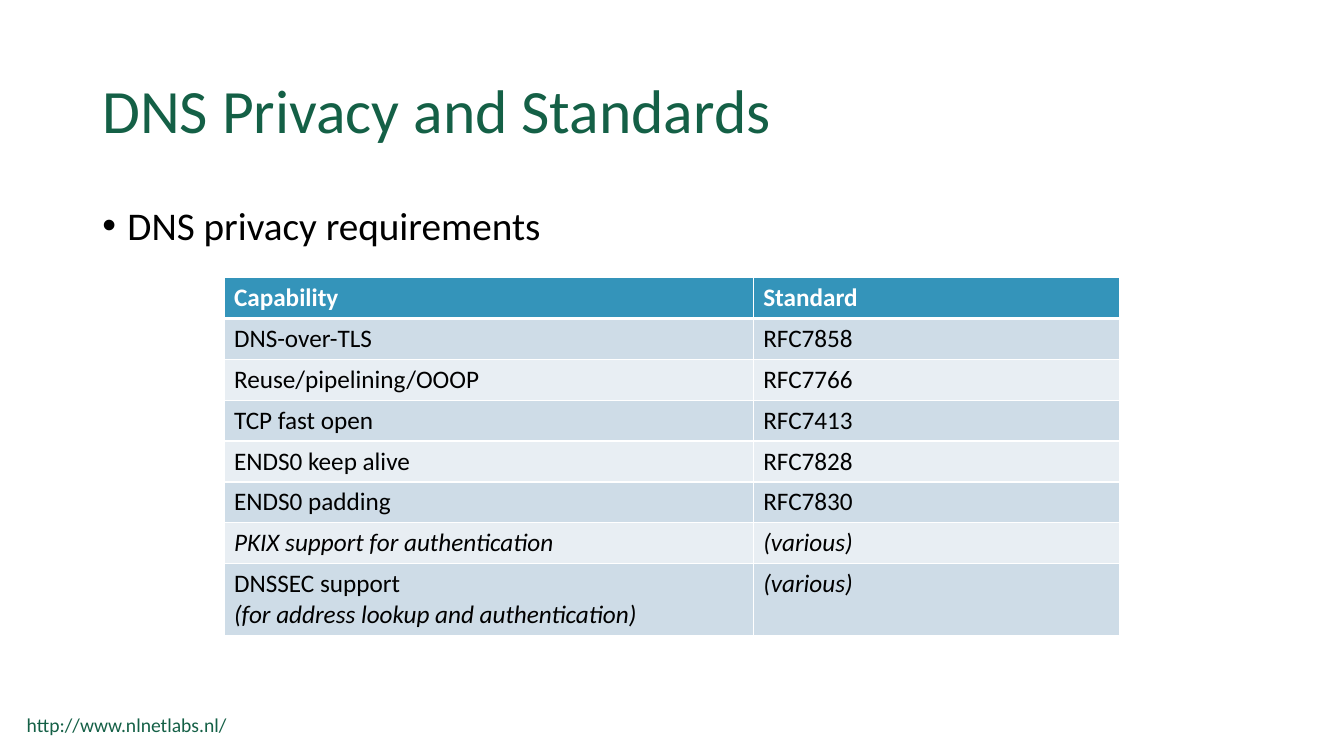
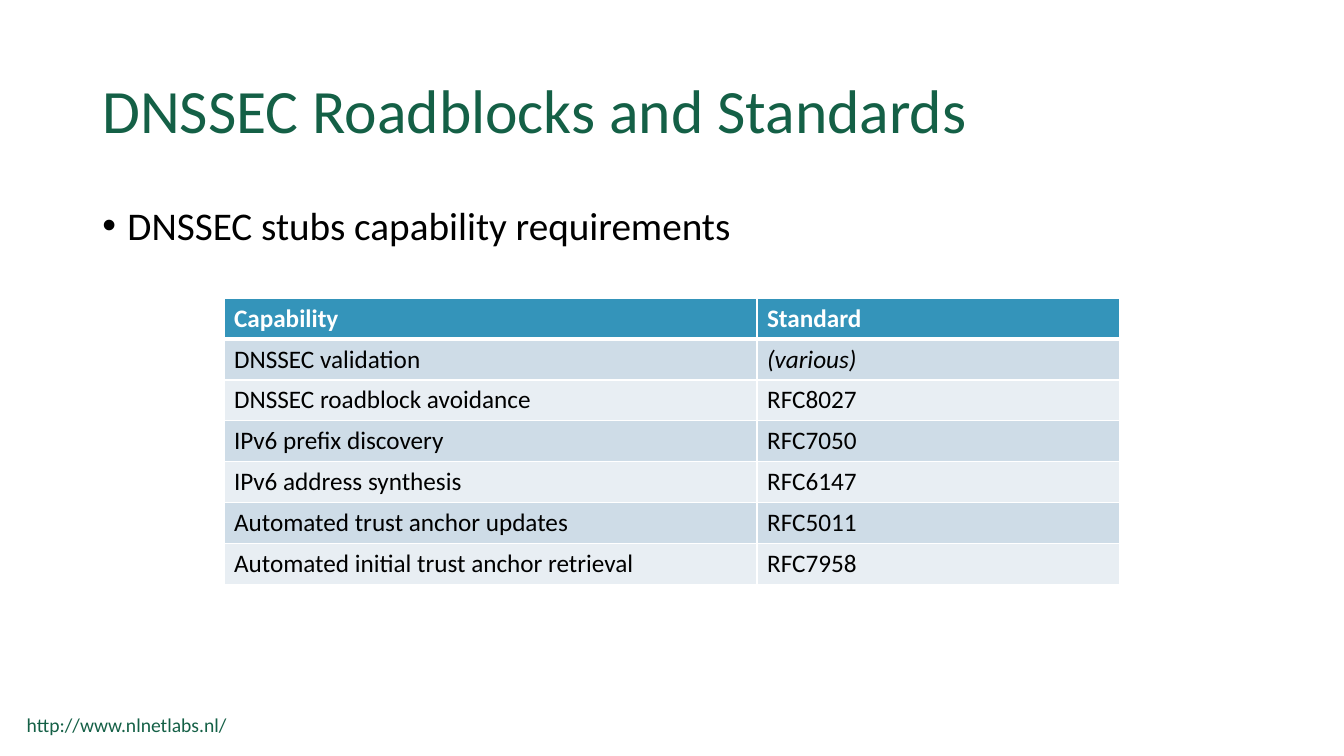
from lxml import etree
from pptx import Presentation
from pptx.dml.color import RGBColor
from pptx.enum.text import MSO_ANCHOR
from pptx.oxml.ns import qn
from pptx.util import Pt

TOP, MIDDLE = MSO_ANCHOR.TOP, MSO_ANCHOR.MIDDLE
GREEN = RGBColor(0x14, 0x60, 0x46)
BLACK = RGBColor(0, 0, 0)
WHITE = RGBColor(255, 255, 255)
BLUE = RGBColor(0x34, 0x94, 0xBA)
BANDS = [RGBColor(0xE8, 0xEE, 0xF3), RGBColor(0xCE, 0xDC, 0xE7)]
FONT = "Calibri"
ROW, LINE = 29.2, 22
WIDTH = 640

# Place (left, top, width, height), size, colour, anchor, line spacing, bullet
STYLES = {
    "footer": ((12, 506, 198, 24), 14, GREEN, TOP, 1.0, False),
    "title": ((66, 28.75, 828, 104.4), 44, GREEN, MIDDLE, 0.9, False),
    "body": ((66, 143.75, 828, 342.6), 28, BLACK, TOP, 0.9, True),
}
URL = "http://www.nlnetlabs.nl/"
HEAD = ("Capability", "Standard")

# A leading underscore sets a line in italics.
SLIDES = [
    {
        "title": "DNS Privacy and Standards",
        "body": "DNS privacy requirements",
        "top": 198.25,
        "split": 378,
        "rows": [
            ("DNS-over-TLS", "RFC7858"),
            ("Reuse/pipelining/OOOP", "RFC7766"),
            ("TCP fast open", "RFC7413"),
            ("ENDS0 keep alive", "RFC7828"),
            ("ENDS0 padding", "RFC7830"),
            ("_PKIX support for authentication", "_(various)"),
            ("DNSSEC support\n_(for address lookup and authentication)",
             "_(various)"),
        ],
    },
    {
        "title": "DNSSEC Roadblocks and Standards",
        "body": "DNSSEC stubs capability requirements",
        "top": 213,
        "split": 380.75,
        "rows": [
            ("DNSSEC validation", "_(various)"),
            ("DNSSEC roadblock avoidance", "RFC8027"),
            ("IPv6 prefix discovery", "RFC7050"),
            ("IPv6 address synthesis", "RFC6147"),
            ("Automated trust anchor updates", "RFC5011"),
            ("Automated initial trust anchor retrieval", "RFC7958"),
        ],
    },
]


def style(font, **form):
    for key, val in form.items():
        if key == "color":
            font.color.rgb = val
        else:
            setattr(font, key, val)


def border(cell, row):
    """Draw white cell edges, with a thick one under the header."""
    props = cell._tc.get_or_add_tcPr()
    thick = {0: "lnB", 1: "lnT"}.get(row)
    for side in ("lnL", "lnR", "lnT", "lnB"):
        width = Pt(3 if side == thick else 1)
        line = etree.SubElement(props, qn("a:" + side), w=str(width))
        fill = etree.SubElement(line, qn("a:solidFill"))
        etree.SubElement(fill, qn("a:srgbClr"), val=str(WHITE))


prs = Presentation()
prs.slide_width, prs.slide_height = Pt(960), Pt(540)

for data in SLIDES:
    slide = prs.slides.add_slide(prs.slide_layouts[6])

    for name, (place, size, color, anchor, space, mark) in STYLES.items():
        box = slide.shapes.add_textbox(*map(Pt, place))
        frame = box.text_frame
        frame.word_wrap = True
        frame.vertical_anchor = anchor
        para = frame.paragraphs[0]
        para.text = data.get(name, URL)
        para.line_spacing = space
        if mark:
            props = para._p.get_or_add_pPr()
            props.set("marL", str(Pt(18)))
            props.set("indent", str(-Pt(18)))
            etree.SubElement(props, qn("a:buFont"), typeface="Arial")
            etree.SubElement(props, qn("a:buChar"), char="•")
        style(para.runs[0].font, name=FONT, size=Pt(size), color=color)

    rows = [HEAD] + data["rows"]
    table = slide.shapes.add_table(
        len(rows), 2, Pt(160), Pt(data["top"]), Pt(WIDTH), Pt(ROW * len(rows))
    ).table
    table.columns[0].width = Pt(data["split"])
    table.columns[1].width = Pt(WIDTH - data["split"])
    for r, texts in enumerate(rows):
        extra = max(text.count("\n") for text in texts)
        table.rows[r].height = Pt(ROW + LINE * extra)
        for c, text in enumerate(texts):
            cell = table.cell(r, c)
            border(cell, r)
            cell.fill.solid()
            cell.fill.fore_color.rgb = BANDS[r % 2] if r else BLUE
            cell.text = text.replace("_", "")
            for para, line in zip(cell.text_frame.paragraphs, text.split("\n")):
                style(para.runs[0].font, name=FONT, size=Pt(18), bold=r == 0,
                      italic=line.startswith("_"), color=BLACK if r else WHITE)

prs.save("out.pptx")
